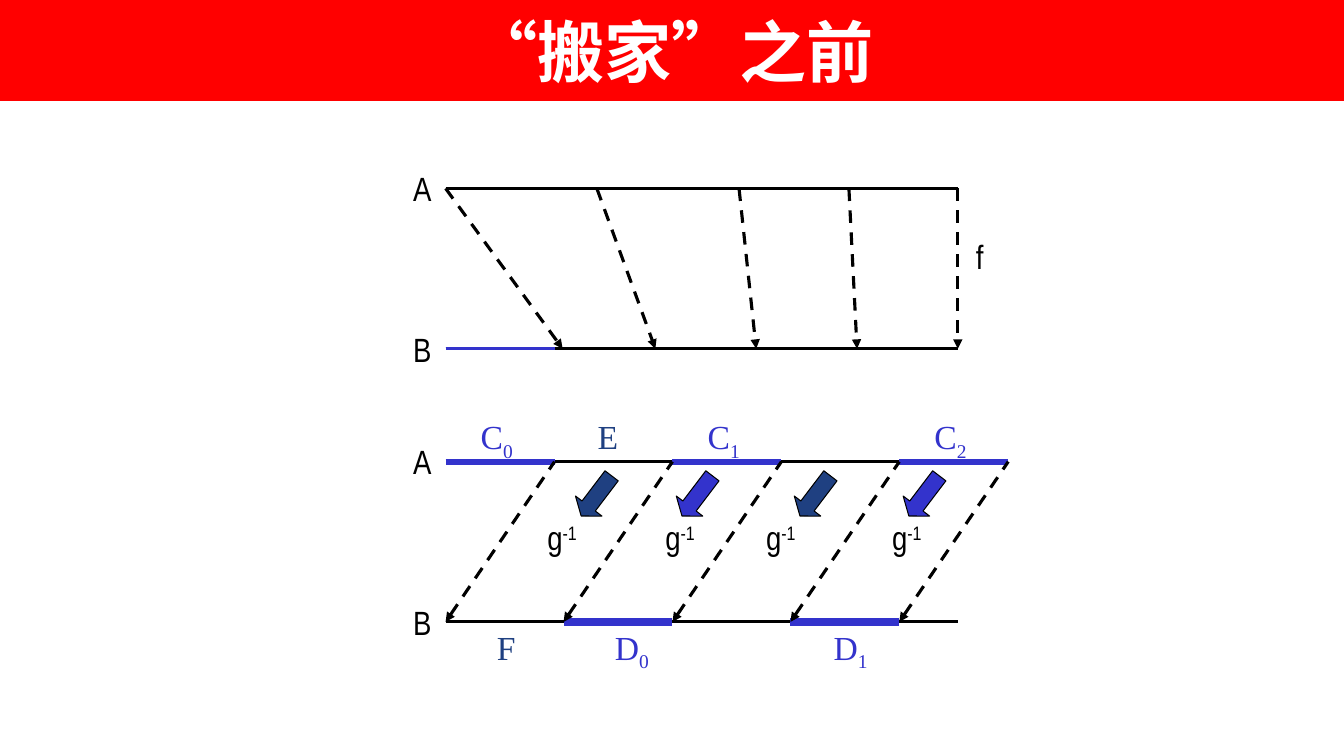
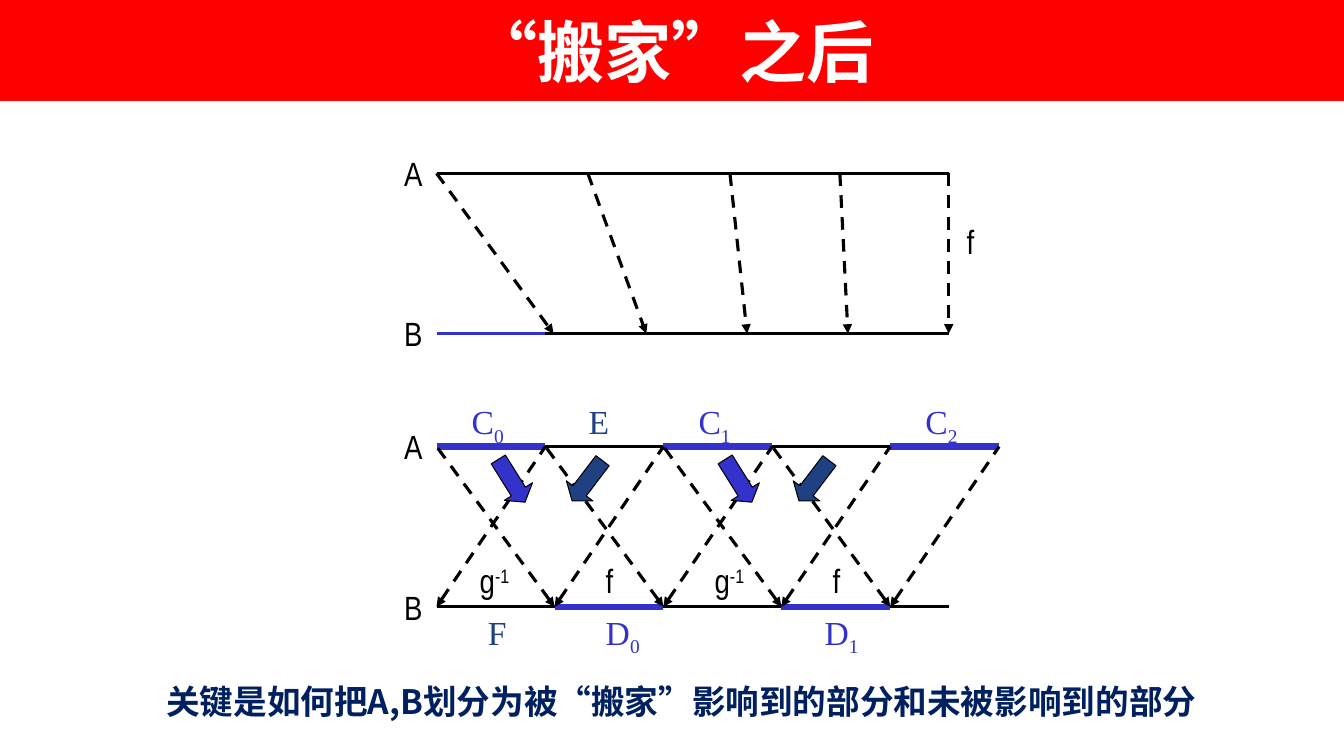
from lxml.etree import SubElement
from pptx import Presentation
from pptx.dml.color import RGBColor
from pptx.enum.dml import MSO_LINE
from pptx.enum.shapes import MSO_CONNECTOR, MSO_SHAPE
from pptx.enum.text import MSO_ANCHOR, MSO_AUTO_SIZE, PP_ALIGN
from pptx.oxml.ns import qn
from pptx.util import Inches, Pt

RED = RGBColor(0xFF, 0x00, 0x00)
WHITE = RGBColor(0xFF, 0xFF, 0xFF)
BLACK = RGBColor(0x00, 0x00, 0x00)
BLUE = RGBColor(0x33, 0x33, 0xCC)
NAVY = RGBColor(0x1F, 0x40, 0x81)
DARK = RGBColor(0x00, 0x20, 0x60)
SANS, SERIF, CJK = "Arial Narrow", "Times New Roman", "Noto Sans CJK SC"

# Diagram grid: levels of the four sets, and the repeating segments
LEFT, RIGHT = 4.42, 9.5
TOP_A, TOP_B, LOW_A, LOW_B = 1.87, 3.46, 4.58, 6.17
STEP, SEG, SLANT = 2.25, 1.08, 1.17
C_LEFT = [LEFT + STEP * i for i in range(3)]
D_LEFT = [LEFT + SLANT + STEP * i for i in range(2)]


def add_line(slide, shift, start, end, color=BLACK, width=2.25, arrow=None):
    """Draw a line; with arrow ("headEnd" or "tailEnd") it is dashed."""
    dx, dy = shift
    line = slide.shapes.add_connector(
        MSO_CONNECTOR.STRAIGHT,
        Inches(start[0] + dx), Inches(start[1] + dy),
        Inches(end[0] + dx), Inches(end[1] + dy))
    line.line.color.rgb = color
    line.line.width = Pt(width)
    if arrow:
        line.line.dash_style = MSO_LINE.DASH
        SubElement(line.line._get_or_add_ln(), qn("a:" + arrow), type="triangle")
    SubElement(line._element.spPr, qn("a:effectLst"))


def add_label(slide, shift, x, y, text, mark="", font=SANS, color=BLACK):
    """Write a letter with a raised (sans) or lowered (serif) mark."""
    dx, dy = shift
    box = slide.shapes.add_textbox(
        Inches(x + dx), Inches(y + dy), Inches(0.67), Inches(0.5))
    box.text_frame.word_wrap = True
    para = box.text_frame.paragraphs[0]
    para.font.size = Pt(24)
    para.font.name = font
    para.font.color.rgb = color
    para.add_run().text = text
    if mark:
        run = para.add_run()
        run.text = mark
        base = "30000" if font == SANS else "-25000"
        run._r.get_or_add_rPr().set("baseline", base)


prs = Presentation()
prs.slide_width, prs.slide_height = Inches(13.33), Inches(7.5)

# Per slide: title end, shift, width of D, labels of maps, block arrows
pages = [
    ("之前", (0, 0), 6,
     [(x, 5.08, "g", "-1") for x in (5.33, 6.5, 7.5, 8.75)],
     [(5.75, 37.2, NAVY), (7.92, 37.2, NAVY),
      (6.75, 37.2, BLUE), (9, 37.2, BLUE)]),
    ("之后", (-0.09, -0.15), 4.5,
     [(4.75, 5.66, "g", "-1"), (7.08, 5.66, "g", "-1"),
      (6, 5.66, "f", ""), (8.25, 5.66, "f", "")],
     [(5, 328, BLUE), (7.25, 328, BLUE),
      (5.75, 37.2, NAVY), (8, 37.2, NAVY)]),
]

for ending, shift, thick, maps, blocks in pages:
    slide = prs.slides.add_slide(prs.slide_layouts[5])

    # Title band
    title = slide.shapes.title
    title.left, title.top = Inches(0), Inches(0)
    title.width, title.height = prs.slide_width, Inches(1)
    title.fill.solid()
    title.fill.fore_color.rgb = RED
    title.text_frame.auto_size = MSO_AUTO_SIZE.NONE
    title.text_frame.vertical_anchor = MSO_ANCHOR.MIDDLE
    para = title.text_frame.paragraphs[0]
    para.alignment = PP_ALIGN.CENTER
    para.font.size = Pt(48)
    para.font.bold = True
    para.font.color.rgb = WHITE
    SubElement(para.font._element, qn("a:ea"), typeface=CJK)
    for word in ("“", "搬家", "”", ending):
        run = para.add_run()
        run.text = word
        run.font.name = "Arial" if word in "“”" else "Lato"

    # Upper diagram: f from A into B
    add_line(slide, shift, (LEFT, TOP_A), (RIGHT, TOP_A))
    add_line(slide, shift, (LEFT, TOP_B), (RIGHT, TOP_B))
    add_line(slide, shift, (LEFT, TOP_B), (LEFT + SEG, TOP_B), BLUE)
    for x, end in ((LEFT, 5.58), (5.92, 6.5), (7.33, 7.5),
                   (8.42, 8.5), (RIGHT, RIGHT)):
        add_line(slide, shift, (x, TOP_A), (end, TOP_B), arrow="tailEnd")
    add_label(slide, shift, 9.58, 2.29, "f")

    # Lower diagram: segments of A and B
    add_line(slide, shift, (LEFT + SEG, LOW_A), (RIGHT, LOW_A))
    add_line(slide, shift, (LEFT, LOW_B), (RIGHT, LOW_B))
    for x in C_LEFT:
        add_line(slide, shift, (x, LOW_A), (x + SEG, LOW_A), BLUE, 4.5)
    for x in D_LEFT:
        add_line(slide, shift, (x, LOW_B), (x + SEG, LOW_B), BLUE, thick)

    # Inverse of g runs down left, f down right
    for x in sorted(C_LEFT + D_LEFT):
        add_line(slide, shift, (x, LOW_B), (x + SEG, LOW_A), arrow="headEnd")
    if ending == "之后":
        for x in C_LEFT[:2]:
            for start in (x, x + SEG):
                add_line(slide, shift, (start + SLANT, LOW_B), (start, LOW_A),
                         arrow="headEnd")

    # Block arrows
    for x, turn, color in blocks:
        block = slide.shapes.add_shape(
            MSO_SHAPE.DOWN_ARROW, Inches(x + shift[0]), Inches(4.67 + shift[1]),
            Inches(0.33), Inches(0.5))
        block.adjustments[1] = 0.375
        block.rotation = turn
        block.shadow.inherit = False
        block.fill.solid()
        block.fill.fore_color.rgb = color
        block.line.color.rgb = BLACK
        block.line.width = Pt(0.75)

    # Labels of sets, segments and maps
    for name, y in (("A", TOP_A), ("B", TOP_B), ("A", LOW_A), ("B", LOW_B)):
        add_label(slide, shift, 4, y - 0.25, name)
    for i, x in enumerate(C_LEFT):
        add_label(slide, shift, x + 0.25, 4.08, "C", str(i), SERIF, BLUE)
    for i, x in enumerate((6, 8.17)):
        add_label(slide, shift, x, LOW_B, "D", str(i), SERIF, BLUE)
    for name, x, y in (("E", 5.83, 4.08), ("F", 4.83, LOW_B)):
        add_label(slide, shift, x, y, name, font=SERIF, color=NAVY)
    for x, y, name, mark in maps:
        add_label(slide, shift, x, y, name, mark)

# Closing remark on the last slide
box = slide.shapes.add_textbox(
    Inches(1.55), Inches(6.71), Inches(10.71), Inches(0.5))
box.text_frame.word_wrap = True
para = box.text_frame.paragraphs[0]
para.text = "关键是如何把A,B划分为被“搬家”影响到的部分和未被影响到的部分"
para.font.size = Pt(24)
para.font.bold = True
para.font.name = CJK
para.font.color.rgb = DARK
SubElement(para.font._element, qn("a:ea"), typeface=CJK)

prs.save("out.pptx")
